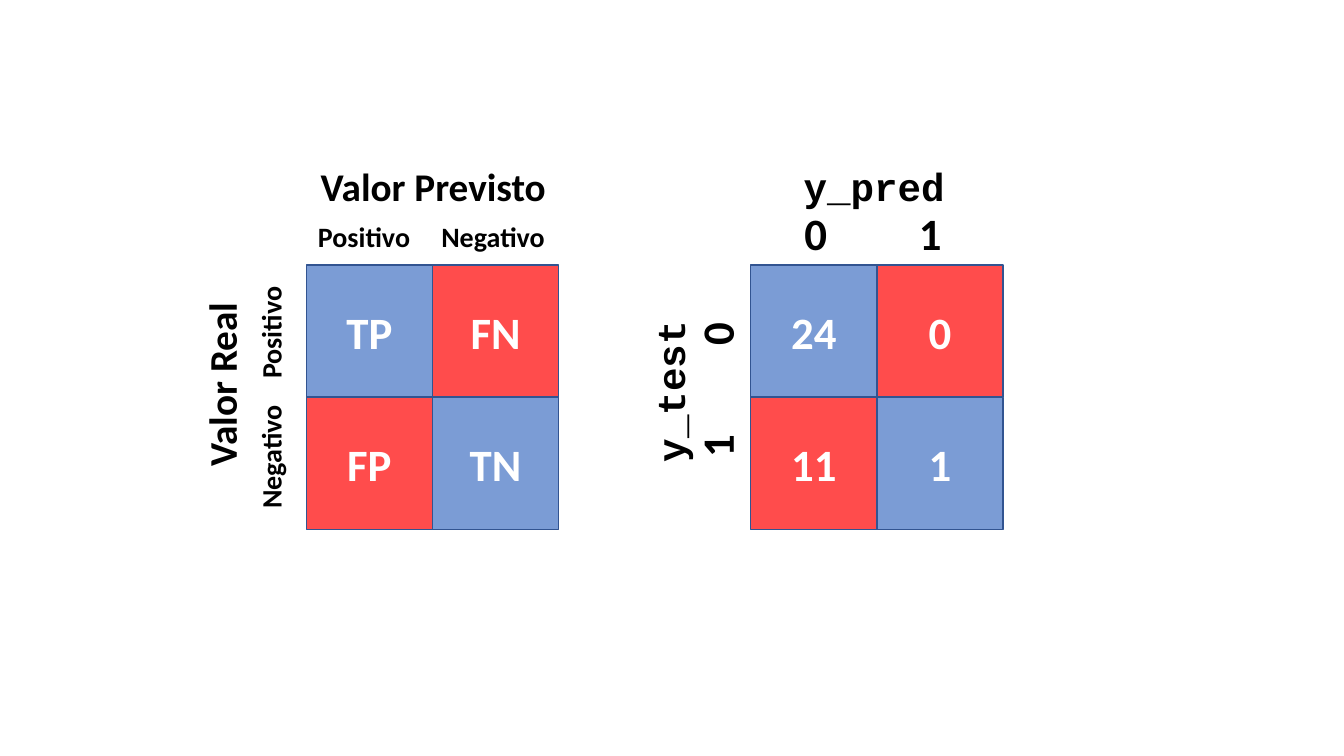
"""Build a slide with two confusion matrices: the concept and a worked result."""

from lxml.etree import SubElement
from pptx import Presentation
from pptx.dml.color import RGBColor
from pptx.enum.shapes import MSO_SHAPE
from pptx.enum.text import MSO_ANCHOR, PP_ALIGN
from pptx.oxml.ns import qn
from pptx.util import Cm, Pt

BLUE = RGBColor(0x44, 0x72, 0xC4)
RED = RGBColor(0xFF, 0x00, 0x00)
BORDER = RGBColor(0x32, 0x54, 0x91)
WHITE = RGBColor(0xFF, 0xFF, 0xFF)
BLACK = RGBColor(0x00, 0x00, 0x00)

CELL_WIDTH, CELL_HEIGHT, MATRIX_TOP = 3.18, 3.33, 6.68
OPACITY = 70000
TITLE_SIZE = 28
LINE_HEIGHTS = {20: 1.11, 28: 1.45, 32: 1.62}

MATRICES = [
    {
        "left": 7.72,
        "cells": [["TP", "FN"], ["FP", "TN"]],
        "title_font": "Calibri",
        "labels": ["Positivo", "Negativo"],
        "label_size": 20,
        "label_width": 3.13,
        "columns": {"title": "Valor Previsto", "title_width": 6.25,
                    "title_center": (10.92, 4.69),
                    "label_center": (10.8, 5.97), "pitch": 3.25},
        "rows": {"title": "Valor Real", "title_width": 4.7,
                 "title_center": (5.58, 9.69),
                 "label_center": (6.82, 9.95), "pitch": 3.13},
    },
    {
        "left": 18.92,
        "cells": [["24", "0"], ["11", "1"]],
        "title_font": "Courier New",
        "labels": ["0", "1"],
        "label_size": 32,
        "label_width": 1.1,
        "columns": {"title": "y_pred", "title_width": 4.09,
                    "title_center": (22.03, 4.69),
                    "label_center": (22, 5.87), "pitch": 2.89},
        "rows": {"title": "y_test", "title_width": 4.09,
                 "title_center": (16.88, 9.87),
                 "label_center": (18.05, 9.83), "pitch": 2.84},
    },
]


def write_text(shape, text, size, color, font="Calibri"):
    shape.text_frame.text = text
    paragraph = shape.text_frame.paragraphs[0]
    paragraph.alignment = PP_ALIGN.CENTER
    paragraph.font.name = font
    paragraph.font.size = Pt(size)
    paragraph.font.bold = True
    paragraph.font.color.rgb = color


def add_cell(slide, left, row, column, text):
    shape = slide.shapes.add_shape(
        MSO_SHAPE.RECTANGLE,
        Cm(left + column * CELL_WIDTH), Cm(MATRIX_TOP + row * CELL_HEIGHT),
        Cm(CELL_WIDTH), Cm(CELL_HEIGHT))
    shape.shadow.inherit = False
    shape.fill.solid()
    shape.fill.fore_color.rgb = BLUE if row == column else RED
    color = shape.fill._xPr.find(qn("a:solidFill"))[0]
    SubElement(color, qn("a:alpha"), val=str(OPACITY))
    shape.line.color.rgb = BORDER
    shape.line.width = Pt(1)
    shape.text_frame.vertical_anchor = MSO_ANCHOR.MIDDLE
    write_text(shape, text, 32, WHITE)


def add_label(slide, center, width, text, size, rotation, font="Calibri"):
    height = LINE_HEIGHTS[size]
    box = slide.shapes.add_textbox(
        Cm(center[0] - width / 2), Cm(center[1] - height / 2), Cm(width), Cm(height))
    box.rotation = rotation
    box.text_frame.word_wrap = False
    write_text(box, text, size, BLACK, font)


def add_axis(slide, matrix, name):
    axis = matrix[name]
    rotation = 270 if name == "rows" else 0
    add_label(slide, axis["title_center"], axis["title_width"], axis["title"],
              TITLE_SIZE, rotation, matrix["title_font"])
    for index, label in enumerate(matrix["labels"]):
        shift = (index - 0.5) * axis["pitch"]
        x, y = axis["label_center"]
        center = (x, y + shift) if name == "rows" else (x + shift, y)
        add_label(slide, center, matrix["label_width"], label,
                  matrix["label_size"], rotation)


def main():
    presentation = Presentation()
    presentation.slide_width = Cm(33.87)
    presentation.slide_height = Cm(19.05)
    slide = presentation.slides.add_slide(presentation.slide_layouts[6])
    for matrix in MATRICES:
        for row, values in enumerate(matrix["cells"]):
            for column, text in enumerate(values):
                add_cell(slide, matrix["left"], row, column, text)
        for name in ("columns", "rows"):
            add_axis(slide, matrix, name)
    presentation.save("out.pptx")


if __name__ == "__main__":
    main()
